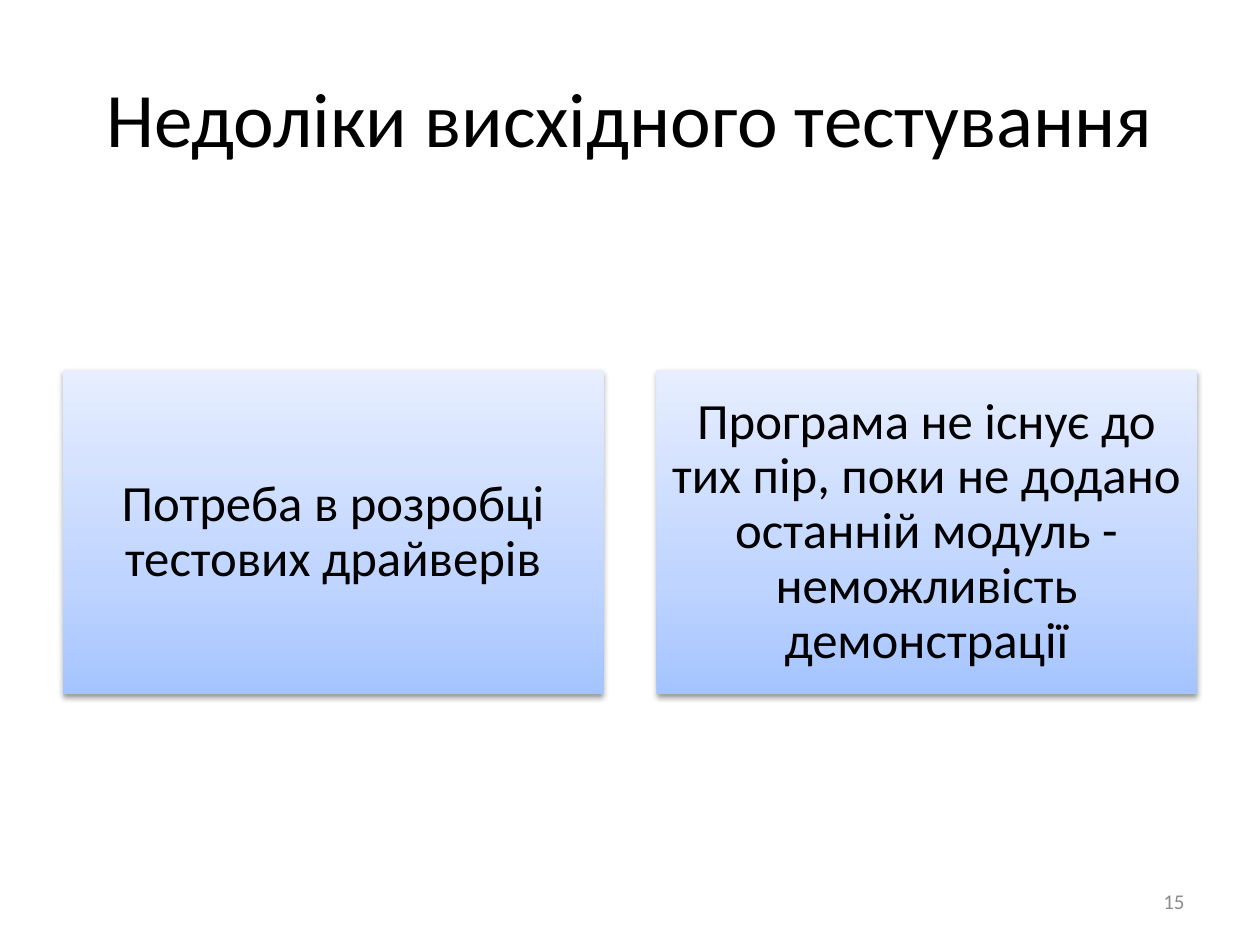
import dataclasses

import lxml.etree
import pptx
import pptx.dml.color
import pptx.enum.shapes
import pptx.enum.text
import pptx.oxml.ns
import pptx.util

Inches = pptx.util.Inches
Align = pptx.enum.text.PP_ALIGN
qn = pptx.oxml.ns.qn


@dataclasses.dataclass(frozen=True)
class Theme:
    font: str = "Calibri"
    ink: str = "000000"
    gray: str = "8C8C8C"
    stops: tuple = ((0, "A4C4FF"), (35, "BFD4FF"), (100, "E6EEFF"))
    title: int = 44
    card: int = 29
    small: int = 12


@dataclasses.dataclass(frozen=True)
class Card:
    left: float
    text: str
    top: float = 2.94
    width: float = 4.29
    height: float = 2.57


THEME = Theme()
LEFT, STEP = 0.5, 4.71
POINTS = (
    "Потреба в розробці тестових драйверів",
    "Програма не існує до тих пір, поки не додано останній модуль - "
    "неможливість демонстрації",
)


def write(frame, text: str, size: int, color: str, align) -> None:
    """Fill a text frame with one formatted paragraph."""
    frame.text = text
    frame.word_wrap = True
    frame.vertical_anchor = pptx.enum.text.MSO_ANCHOR.MIDDLE
    para = frame.paragraphs[0]
    para.alignment = align
    font = para.runs[0].font
    font.name = THEME.font
    font.size = pptx.util.Pt(size)
    font.color.rgb = pptx.dml.color.RGBColor.from_string(color)


def add_color(node, color: str):
    return lxml.etree.SubElement(node, qn("a:srgbClr"), val=color)


def shade(shape) -> None:
    """Give a shape the theme gradient, rising from bottom to top."""
    shape.fill.gradient()
    shape.fill.gradient_angle = 90
    stops = shape._element.spPr.find(".//" + qn("a:gsLst"))
    for stop in list(stops):
        stops.remove(stop)
    for place, color in THEME.stops:
        stop = lxml.etree.SubElement(stops, qn("a:gs"), pos=str(place * 1000))
        add_color(stop, color)


def drop_shadow(shape) -> None:
    """Add a soft shadow straight below a shape."""
    shape.shadow.inherit = False
    effects = shape._element.spPr.find(qn("a:effectLst"))
    shadow = lxml.etree.SubElement(
        effects, qn("a:outerShdw"), blurRad=str(pptx.util.Pt(3.1)),
        dist=str(pptx.util.Pt(1.6)), dir="5400000", rotWithShape="0")
    color = add_color(shadow, THEME.ink)
    lxml.etree.SubElement(color, qn("a:alpha"), val="38000")


def draw_card(slide, card: Card) -> None:
    shape = slide.shapes.add_shape(
        pptx.enum.shapes.MSO_SHAPE.RECTANGLE, Inches(card.left),
        Inches(card.top), Inches(card.width), Inches(card.height))
    shade(shape)
    shape.line.fill.background()
    drop_shadow(shape)
    frame = shape.text_frame
    write(frame, card.text, THEME.card, THEME.ink, Align.CENTER)
    frame.margin_left = frame.margin_right = Inches(0.11)
    frame.margin_top = frame.margin_bottom = Inches(0.12)
    frame.paragraphs[0].line_spacing = 0.9


def main() -> None:
    deck = pptx.Presentation()
    deck.slide_width, deck.slide_height = Inches(10), Inches(7.5)
    slide = deck.slides.add_slide(deck.slide_layouts[5])

    # Title
    title = slide.shapes.title
    title.left, title.top = Inches(LEFT), Inches(0.3)
    title.width, title.height = Inches(9), Inches(1.25)
    write(title.text_frame, "Недоліки висхідного тестування",
          THEME.title, THEME.ink, Align.CENTER)

    # Cards
    for index, text in enumerate(POINTS):
        draw_card(slide, Card(LEFT + index * STEP, text))

    # Page number
    page = slide.shapes.add_textbox(
        Inches(7.17), Inches(6.95), Inches(2.33), Inches(0.4))
    write(page.text_frame, "15", THEME.small, THEME.gray, Align.RIGHT)

    deck.save("out.pptx")


if __name__ == "__main__":
    main()
